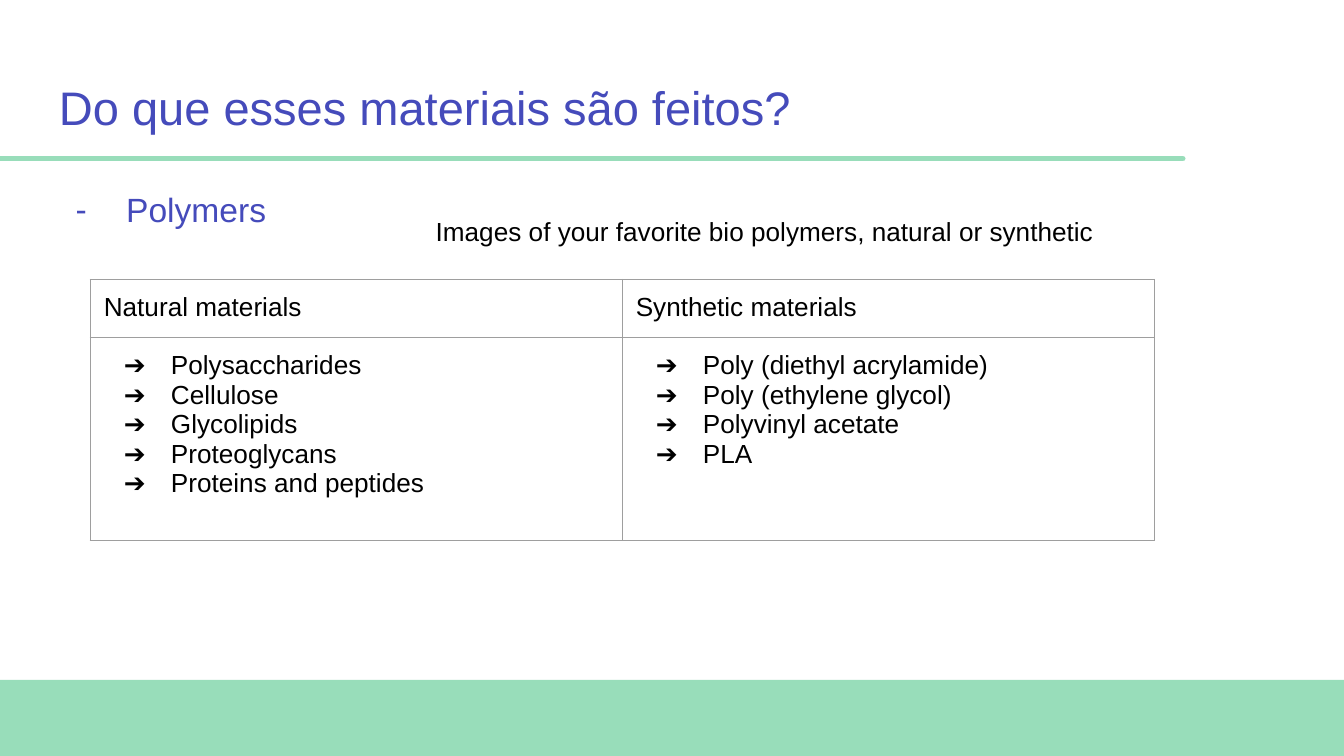
from dataclasses import dataclass

from lxml import etree
from pptx import Presentation
from pptx.dml.color import RGBColor
from pptx.enum.shapes import MSO_CONNECTOR, MSO_SHAPE
from pptx.oxml.ns import qn
from pptx.util import Pt

RECTANGLE = MSO_SHAPE.RECTANGLE
STRAIGHT = MSO_CONNECTOR.STRAIGHT
GREEN = RGBColor(0x98, 0xDD, 0xBA)
INDIGO = RGBColor(0x45, 0x4B, 0xBB)
BLACK = RGBColor(0, 0, 0)
GREY = RGBColor(0x9E, 0x9E, 0x9E)
FONT = "Arial"
SLIDE_WIDTH, SLIDE_HEIGHT = 720, 405
BAND_TOP = 364.3
INSET = 7.2
LEVEL_INDENT = 36


@dataclass(frozen=True)
class Bullet:
    """A list marker and how far it hangs left of the text, in points."""

    mark: str
    hanging: float


@dataclass(frozen=True)
class Label:
    """A one-paragraph text box with lengths in points."""

    text: str
    left: float
    top: float
    width: float
    height: float
    size: float
    color: RGBColor
    inset_y: float = INSET
    bullet: Bullet | None = None
    line_spacing: float = 1.0


@dataclass(frozen=True)
class Column:
    """A table column with its heading and listed materials."""

    heading: str
    items: tuple[str, ...]


DASH = Bullet("-", 27)
ARROW = Bullet("➔", 25.2)
LABELS = (
    Label("Do que esses materiais são feitos?", 24.5, 35, 671, 45, 25.2, INDIGO),
    Label("Polymers", 24.5, 91, 671, 269, 18, INDIGO, bullet=DASH, line_spacing=1.15),
    Label("Images of your favorite bio polymers, natural or synthetic",
          226.3, 111.6, 368.6, 24.5, 14, BLACK, inset_y=3.6),
)
COLUMNS = (
    Column("Natural materials",
           ("Polysaccharides", "Cellulose", "Glycolipids", "Proteoglycans", "Proteins and peptides")),
    Column("Synthetic materials",
           ("Poly (diethyl acrylamide)", "Poly (ethylene glycol)", "Polyvinyl acetate", "PLA")),
)
TABLE_LEFT, TABLE_TOP = 48.4, 149.7
COLUMN_WIDTH = 285
ROW_HEIGHTS = (30.3, 108.7)


def add_bullet(para, bullet: Bullet, color: RGBColor) -> None:
    """Give a paragraph a coloured hanging list marker."""
    props = para._p.get_or_add_pPr()
    props.set("marL", str(Pt(LEVEL_INDENT)))
    props.set("indent", str(-Pt(bullet.hanging)))
    marker_color = etree.SubElement(props, qn("a:buClr"))
    etree.SubElement(marker_color, qn("a:srgbClr"), val=str(color))
    etree.SubElement(props, qn("a:buFont"), typeface=FONT)
    etree.SubElement(props, qn("a:buChar"), char=bullet.mark)


def style_paragraph(para, size: float, color: RGBColor, bullet: Bullet | None = None) -> None:
    """Format the runs of a paragraph and add its bullet."""
    for span in para.runs:
        span.font.name = FONT
        span.font.size = Pt(size)
        span.font.color.rgb = color
    if bullet:
        add_bullet(para, bullet, color)


def add_label(page, label: Label) -> None:
    """Draw a text box."""
    box = page.shapes.add_textbox(Pt(label.left), Pt(label.top), Pt(label.width), Pt(label.height))
    frame = box.text_frame
    frame.word_wrap = True
    frame.margin_left = frame.margin_right = Pt(INSET)
    frame.margin_top = frame.margin_bottom = Pt(label.inset_y)
    frame.text = label.text
    para = frame.paragraphs[0]
    para.line_spacing = label.line_spacing
    style_paragraph(para, label.size, label.color, label.bullet)


def add_band(page) -> None:
    """Draw the green band at the foot of the page."""
    band = page.shapes.add_shape(RECTANGLE, 0, Pt(BAND_TOP), Pt(SLIDE_WIDTH), Pt(SLIDE_HEIGHT - BAND_TOP))
    band.shadow.inherit = False
    band.fill.solid()
    band.fill.fore_color.rgb = GREEN
    band.line.fill.background()


def add_title_rule(page) -> None:
    """Draw the round-ended line under the title."""
    rule = page.shapes.add_connector(STRAIGHT, 0, Pt(85), Pt(633.6), Pt(85))
    rule.line.color.rgb = GREEN
    rule.line.width = Pt(3)
    rule.line._get_or_add_ln().set("cap", "rnd")
    etree.SubElement(rule._element.spPr, qn("a:effectLst"))


def fill_cell(cell, lines: tuple[str, ...], bullet: Bullet | None = None) -> None:
    """Write lines into a bordered cell without fill."""
    props = cell._tc.get_or_add_tcPr()
    for side in ("lnL", "lnR", "lnT", "lnB"):
        border = etree.SubElement(props, qn(f"a:{side}"), w=str(Pt(0.75)))
        paint = etree.SubElement(border, qn("a:solidFill"))
        etree.SubElement(paint, qn("a:srgbClr"), val=str(GREY))
    cell.fill.background()
    cell.margin_left = cell.margin_right = cell.margin_top = cell.margin_bottom = Pt(INSET)
    cell.text_frame.text = "\n".join(lines)
    for para in cell.text_frame.paragraphs:
        style_paragraph(para, 14, BLACK, bullet)


def add_materials_table(page, columns: tuple[Column, ...]) -> None:
    """Draw the table of materials, one heading and list per column."""
    table = page.shapes.add_table(
        len(ROW_HEIGHTS), len(columns), Pt(TABLE_LEFT), Pt(TABLE_TOP),
        Pt(COLUMN_WIDTH * len(columns)), Pt(sum(ROW_HEIGHTS))).table
    table.first_row = table.horz_banding = False
    for row, height in zip(table.rows, ROW_HEIGHTS):
        row.height = Pt(height)
    for index, column in enumerate(columns):
        table.columns[index].width = Pt(COLUMN_WIDTH)
        fill_cell(table.cell(0, index), (column.heading,))
        fill_cell(table.cell(1, index), column.items, ARROW)


def main() -> None:
    """Build and save the deck."""
    deck = Presentation()
    deck.slide_width, deck.slide_height = Pt(SLIDE_WIDTH), Pt(SLIDE_HEIGHT)
    page = deck.slides.add_slide(deck.slide_layouts[6])
    add_band(page)
    add_title_rule(page)
    for label in LABELS:
        add_label(page, label)
    add_materials_table(page, COLUMNS)
    deck.save("out.pptx")


if __name__ == "__main__":
    main()
